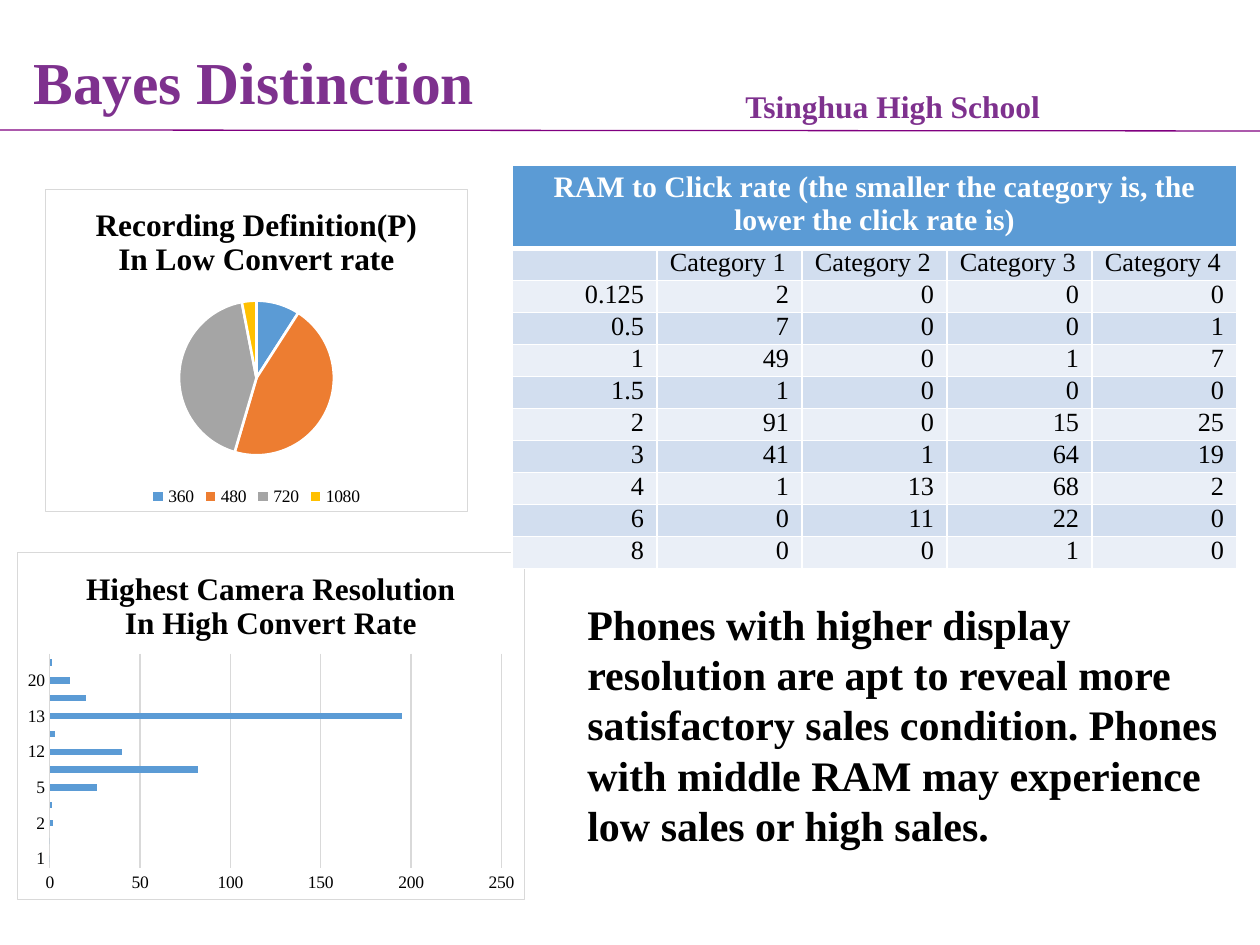
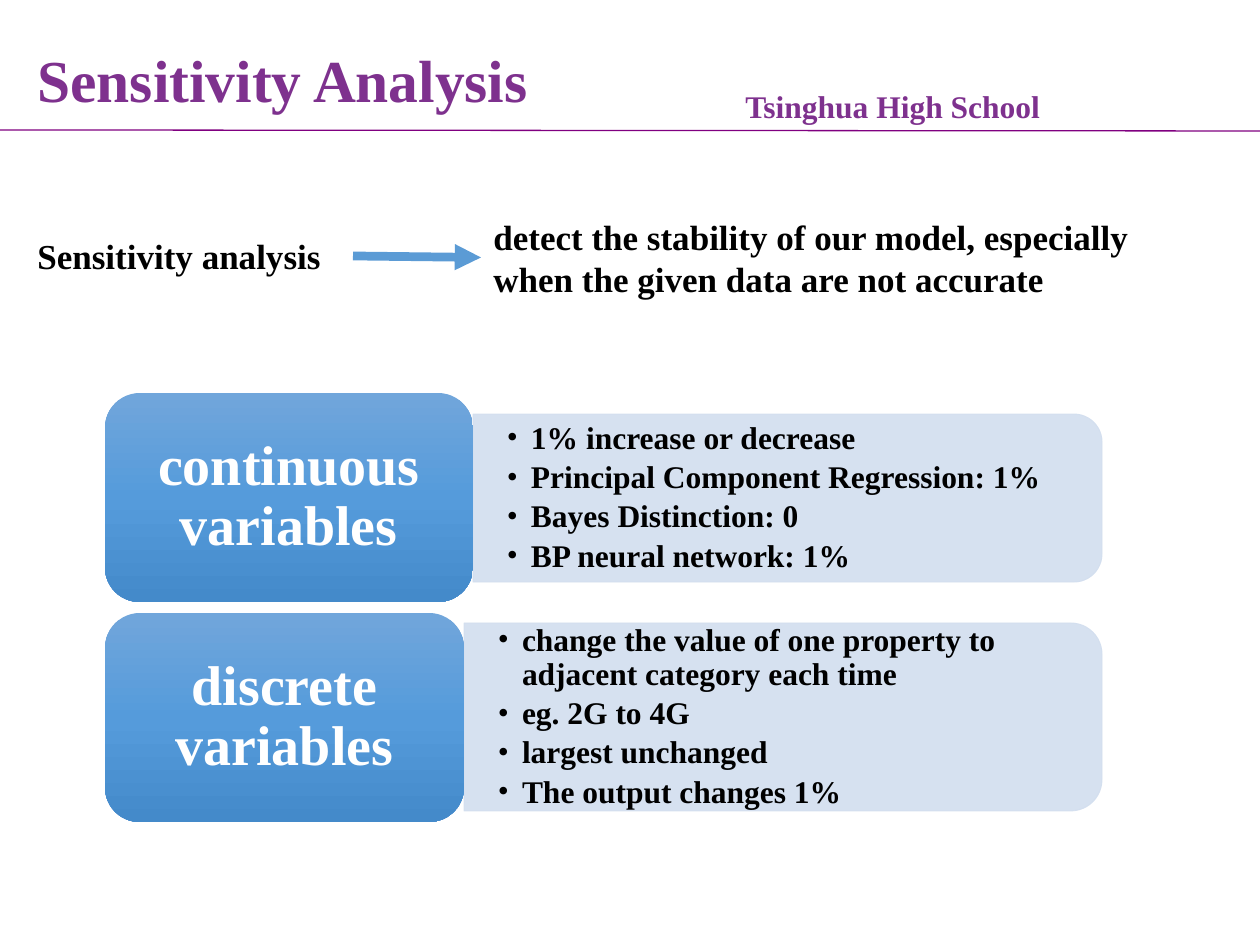
from lxml.etree import SubElement
from pptx import Presentation
from pptx.chart.data import CategoryChartData
from pptx.dml.color import RGBColor
from pptx.enum.chart import XL_CHART_TYPE as ChartType, XL_LEGEND_POSITION as LegendPosition
from pptx.enum.chart import XL_TICK_MARK as TickMark
from pptx.enum.shapes import MSO_CONNECTOR as Connector, MSO_SHAPE as Shape
from pptx.enum.text import MSO_ANCHOR as Anchor, MSO_AUTO_SIZE as AutoSize, PP_ALIGN as Align
from pptx.oxml import parse_xml
from pptx.oxml.ns import nsdecls, qn
from pptx.util import Emu, Pt

FONT = "Times New Roman"
COLORS = {
    "title": "7E318E", "rule": "800080", "black": "000000", "white": "FFFFFF",
    "blue": "5B9BD5", "orange": "ED7D31", "gray": "A5A5A5", "gold": "FFC000",
    "grid": "D9D9D9", "band": "D2DEEF", "pale": "EAEFF7",
    "label top": "71A6DB", "label middle": "559BDB", "label bottom": "448ACA",
}
RAM_HEADING = "RAM to Click rate (the smaller the category is, the lower the click rate is)"
RAM_ROWS = [
    ["", "Category 1", "Category 2", "Category 3", "Category 4"],
    ["0.125", 2, 0, 0, 0],
    ["0.5", 7, 0, 0, 1],
    ["1", 49, 0, 1, 7],
    ["1.5", 1, 0, 0, 0],
    ["2", 91, 0, 15, 25],
    ["3", 41, 1, 64, 19],
    ["4", 1, 13, 68, 2],
    ["6", 0, 11, 22, 0],
    ["8", 0, 0, 1, 0],
]
DEFINITIONS = {"360": 9, "480": 45, "720": 42, "1080": 3}
RESOLUTIONS = {
    "1": 0, "1.3": 0, "2": 2, "4": 1, "5": 26, "8": 82,
    "12": 40, "12.1": 3, "13": 195, "16": 20, "20": 11, "21": 1,
}
FINDING = ("Phones with higher display resolution are apt to reveal more satisfactory sales "
           "condition. Phones with middle RAM may experience low sales or high sales.")
VARIABLES = [
    ("continuous variables", 368, 21, 168, 629, [
        "1% increase or decrease",
        "Principal Component Regression: 1%",
        "Bayes Distinction: 0",
        "BP neural network: 1%",
    ]),
    ("discrete variables", 359, 10, 188, 638, [
        "change the value of one property to adjacent category each time",
        "eg. 2G to 4G",
        "largest unchanged",
        "The output changes 1%",
    ]),
]


def px(length):
    return Emu(round(length * 914400 / 126))


def frame(*lengths):
    return [px(length) for length in lengths]


def color(name):
    return RGBColor.from_string(COLORS[name])


def style_font(font, size, name="black", bold=True):
    font.name = FONT
    font.size = Pt(size)
    font.bold = bold
    font.color.rgb = color(name)


def style_paragraphs(text_frame, size, name="black", align=Align.LEFT, spacing=None, bold=True):
    for para in text_frame.paragraphs:
        para.alignment = align
        para.line_spacing = spacing
        for span in para.runs:
            style_font(span.font, size, name, bold)


def set_margins(target, across, down):
    target.margin_left = target.margin_right = px(across)
    target.margin_top = target.margin_bottom = px(down)


def place(shape, left, top, width, height):
    shape.left, shape.top, shape.width, shape.height = frame(left, top, width, height)


def add_text(page, text, left, top, width, height, size, name="black"):
    box = page.shapes.add_textbox(*frame(left, top, width, height))
    box.text_frame.word_wrap = True
    box.text_frame.text = text
    style_paragraphs(box.text_frame, size, name)
    return box


def add_line(page, start_x, start_y, end_x, end_y, name, width):
    line = page.shapes.add_connector(Connector.STRAIGHT, *frame(start_x, start_y, end_x, end_y))
    line.line.color.rgb = color(name)
    line.line.width = Pt(width)
    SubElement(line.element.spPr, qn("a:effectLst"))
    return line


def add_page(deck, layout, title, left, top, height, spacing):
    page = deck.slides.add_slide(deck.slide_layouts.get_by_name(layout))
    add_line(page, 0, 130, 1260, 131, "rule", 0.75)
    add_text(page, "Tsinghua High School", 733, 81, 330, 50, 18, "title")
    heading = page.shapes.title
    place(heading, left, top, 700, height)
    heading.text_frame.text = title
    heading.text_frame.auto_size = AutoSize.NONE
    heading.text_frame.vertical_anchor = Anchor.TOP
    style_paragraphs(heading.text_frame, 34, "title", spacing=spacing)
    return page


def add_chart(page, kind, title, values, left, top, width, height):
    data = CategoryChartData()
    data.categories = list(values)
    data.add_series("Series 1", values.values())
    chart = page.shapes.add_chart(kind, *frame(left, top, width, height), data).chart
    style_font(chart.font, 10, bold=False)
    chart.has_title = True
    chart.chart_title.include_in_layout = False
    chart.chart_title.text_frame.text = title
    style_paragraphs(chart.chart_title.text_frame, 18, align=Align.CENTER, spacing=0.95)
    chart.element.find(qn("c:chart")).addnext(parse_xml(
        f'<c:spPr {nsdecls("c", "a")}>'
        f'<a:solidFill><a:srgbClr val="{COLORS["white"]}"/></a:solidFill>'
        f'<a:ln w="9525"><a:solidFill><a:srgbClr val="{COLORS["grid"]}"/></a:solidFill></a:ln>'
        '</c:spPr>'))
    return chart


def add_definition_pie(page):
    chart = add_chart(page, ChartType.PIE, "Recording Definition(P)\nIn Low Convert rate",
                      DEFINITIONS, 45, 189, 423, 323)
    chart.has_legend = True
    chart.legend.position = LegendPosition.BOTTOM
    chart.legend.include_in_layout = False
    plot = chart.plots[0]
    plot.vary_by_categories = True
    for index, name in enumerate(["blue", "orange", "gray", "gold"]):
        slice_format = plot.series[0].points[index].format
        slice_format.fill.solid()
        slice_format.fill.fore_color.rgb = color(name)
        slice_format.line.color.rgb = color("white")
        slice_format.line.width = Pt(1.5)


def add_resolution_bars(page):
    chart = add_chart(page, ChartType.BAR_CLUSTERED,
                      "Highest Camera Resolution\nIn High Convert Rate",
                      RESOLUTIONS, 17, 552, 508, 348)
    chart.has_legend = False
    plot = chart.plots[0]
    plot.gap_width = 182
    plot.vary_by_categories = False
    fill = plot.series[0].format.fill
    fill.solid()
    fill.fore_color.rgb = color("blue")
    values, categories = chart.value_axis, chart.category_axis
    values.minimum_scale, values.maximum_scale, values.major_unit = 0, 250, 50
    for axis in (values, categories):
        axis.major_tick_mark = axis.minor_tick_mark = TickMark.NONE
    values.format.line.fill.background()
    for line in (values.major_gridlines.format.line, categories.format.line):
        line.color.rgb = color("grid")
        line.width = Pt(0.75)


def style_cell(cell, fill, bottom_width=1):
    cell.fill.solid()
    cell.fill.fore_color.rgb = color(fill)
    properties = cell._tc.get_or_add_tcPr()
    sides = {"lnL": 1, "lnR": 1, "lnT": 1, "lnB": bottom_width}
    for index, (side, width) in enumerate(sides.items()):
        properties.insert(index, parse_xml(
            f'<a:{side} {nsdecls("a")} w="{Pt(width)}"><a:solidFill>'
            f'<a:srgbClr val="{COLORS["white"]}"/></a:solidFill></a:{side}>'))


def add_ram_table(page):
    rows, columns = len(RAM_ROWS) + 1, len(RAM_ROWS[0])
    table = page.shapes.add_table(rows, columns, *frame(512, 165, 725, 402)).table
    table.horz_banding = False
    for column in table.columns:
        column.width = px(145)
    for index, row in enumerate(table.rows):
        row.height = px(32 if index else 82)
    heading = table.cell(0, 0)
    heading.merge(table.cell(0, columns - 1))
    heading.text_frame.text = RAM_HEADING
    set_margins(heading, 11, 6)
    style_paragraphs(heading.text_frame, 17, "white", Align.CENTER)
    for cell in table.rows[0].cells:
        style_cell(cell, "blue", 3)
    for row, entries in enumerate(RAM_ROWS, 1):
        for column, entry in enumerate(entries):
            cell = table.cell(row, column)
            set_margins(cell, 13, 0)
            style_cell(cell, "band" if row % 2 else "pale")
            if entry == "":
                SubElement(cell.text_frame.paragraphs[0]._p, qn("a:endParaRPr"), sz="1500")
                continue
            cell.text_frame.text = str(entry)
            style_paragraphs(cell.text_frame, 15, align=Align.LEFT if row == 1 else Align.RIGHT,
                             bold=False)


def add_arrow(page, source, target):
    arrow = add_line(page, 0, 0, 0, 0, "blue", 5)
    arrow.begin_connect(source, 3)
    arrow.end_connect(target, 1)
    SubElement(arrow.line._get_or_add_ln(), qn("a:tailEnd"), type="triangle")


def add_bar(page, left, top, width, height):
    shift = (width - height) / 2
    bar = page.shapes.add_shape(Shape.ROUND_2_SAME_RECTANGLE,
                                *frame(left + shift, top - shift, height, width))
    bar.rotation = 90
    bar.shadow.inherit = False
    bar.fill.solid()
    bar.fill.fore_color.rgb = color("band")
    bar.line.color.rgb = color("band")
    bar.line.width = Pt(0.5)
    for paint in bar.element.spPr.iter(qn("a:srgbClr")):
        SubElement(paint, qn("a:alpha"), val="90000")


def fill_list(holder, items, left, top, width, height):
    place(holder, left, top, width, height)
    holder.element.getparent().append(holder.element)
    text_frame = holder.text_frame
    text_frame.text = "\n".join(items)
    text_frame.auto_size = AutoSize.NONE
    text_frame.vertical_anchor = Anchor.MIDDLE
    set_margins(text_frame, 34, 18)
    for para in text_frame.paragraphs:
        properties = para._p.get_or_add_pPr()
        properties.set("marL", str(px(24)))
        properties.set("indent", str(px(-24)))
        SubElement(properties, qn("a:buFont"), typeface=FONT)
        SubElement(properties, qn("a:buChar"), char="•")
        para.space_before = Pt(0)
        para.space_after = Pt(3)
    style_paragraphs(text_frame, 18, spacing=0.9)


def add_label(page, text, left, top, width, height):
    label = page.shapes.add_shape(Shape.ROUNDED_RECTANGLE, *frame(left, top, width, height))
    label.shadow.inherit = False
    label.line.fill.background()
    stops = "".join(
        f'<a:gs pos="{index * 50000}"><a:srgbClr val="{COLORS["label " + part]}"/></a:gs>'
        for index, part in enumerate(["top", "middle", "bottom"]))
    label.element.spPr.find(qn("a:prstGeom")).addnext(parse_xml(
        f'<a:gradFill {nsdecls("a")}><a:gsLst>{stops}</a:gsLst>'
        '<a:lin ang="5400000" scaled="0"/></a:gradFill>'))
    label.text_frame.text = text
    label.text_frame.word_wrap = True
    label.text_frame.vertical_anchor = Anchor.MIDDLE
    set_margins(label.text_frame, 26, 19)
    style_paragraphs(label.text_frame, 32, "white", Align.CENTER, 0.9)


def build_bayes(deck):
    page = add_page(deck, "Title Only", "Bayes Distinction", 21, 3, 108, 1.5)
    add_definition_pie(page)
    add_resolution_bars(page)
    add_text(page, FINDING, 575, 592, 667, 267, 24)
    add_ram_table(page)


def build_sensitivity(deck):
    page = add_page(deck, "Two Content", "Sensitivity Analysis", 25, 15, 97, 1.3)
    lists = list(page.placeholders)[1:]
    purpose = add_text(page, "detect the stability of our model, especially when the given data "
                       "are not accurate", 481, 209, 714, 97, 20)
    subject = add_text(page, "Sensitivity analysis", 25, 228, 328, 56, 20)
    add_arrow(page, subject, purpose)
    for index, (name, width, inset, height, reach, items) in enumerate(VARIABLES):
        top = 393 + index * 220
        edge = 105 + width
        add_bar(page, edge, top + inset, reach, height)
        fill_list(lists[index], items, edge, top + inset + 8, reach - 9, height - 16)
        add_label(page, name, 105, top, width, 209)


def main():
    deck = Presentation()
    deck.slide_width, deck.slide_height = frame(1260, 945)
    build_bayes(deck)
    build_sensitivity(deck)
    deck.save("out.pptx")


if __name__ == "__main__":
    main()
